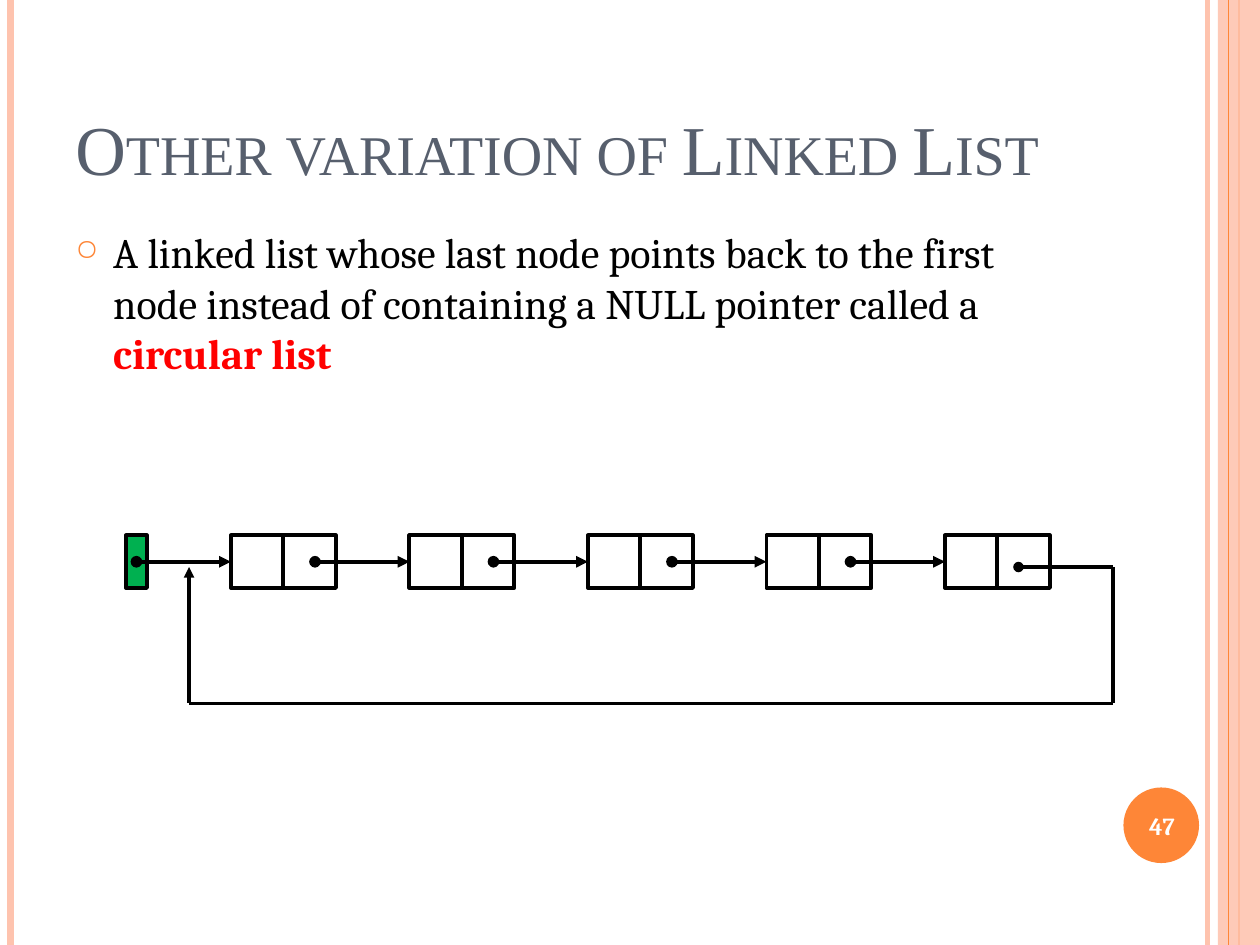
"""Build a slide that explains a circular linked list."""
from pptx import Presentation
from pptx.dml.color import RGBColor
from pptx.enum import shapes, text
from pptx.oxml import ns
from pptx.util import Pt
from lxml import etree

COLORS = {"peach": "FEC3AE", "orange": "FE8637", "slate": "575F6D", "black": "000000",
          "red": "FF0000", "green": "00B050", "white": "FFFFFF"}
ARROW, DOT = "triangle", "oval"


def add_line(x1, y1, x2, y2, color, width, head=None, tail=None):
    s = slide.shapes.add_connector(shapes.MSO_CONNECTOR.STRAIGHT, Pt(x1), Pt(y1), Pt(x2), Pt(y2))
    s.line.color.rgb = RGBColor.from_string(COLORS[color])
    s.line.width = Pt(width)
    for tag, kind in (("a:headEnd", head), ("a:tailEnd", tail)):
        if kind:
            etree.SubElement(s.line._ln, ns.qn(tag), type=kind)
    etree.SubElement(s._element.spPr, ns.qn("a:effectLst"))
    return s


def add_box(kind, x, y, w, h, fill=None, line=None):
    s = slide.shapes.add_shape(kind, Pt(x), Pt(y), Pt(w), Pt(h))
    s.shadow.inherit = False
    if fill:
        s.fill.solid()
        s.fill.fore_color.rgb = RGBColor.from_string(COLORS[fill])
    else:
        s.fill.background()
    if line:
        s.line.color.rgb = RGBColor.from_string(COLORS["black"])
        s.line.width = Pt(line)
    else:
        s.line.fill.background()
    return s


prs = Presentation()
prs.slide_width, prs.slide_height = Pt(720), Pt(540)
slide = prs.slides.add_slide(prs.slide_layouts[6])
RECT = shapes.MSO_SHAPE.RECTANGLE

for x, color, width in ((690, "peach", 3), (6, "peach", 4.5), (708, "orange", 1.5)):
    add_line(x, 0, x, 540, color, width)
band = add_box(RECT, 696, 0, 24, 540, "peach")
etree.SubElement(band.fill._xPr.find(".//" + ns.qn("a:srgbClr")), ns.qn("a:alpha"), val="87000")
add_line(702, 0, 702, 540, "orange", 0.75)
add_box(shapes.MSO_SHAPE.OVAL, 642, 450, 43.2, 43.2, "orange")

texts = (
    ((36, 21.6, 588, 90), text.MSO_ANCHOR.BOTTOM, text.PP_ALIGN.LEFT, (
        ("Other variation of Linked List", "slate", {"name": "Times New Roman", "size": Pt(40)}),)),
    ((36, 126, 588, 384), text.MSO_ANCHOR.TOP, text.PP_ALIGN.LEFT, (
        ("A linked list whose last node points back to the first node instead of "
         "containing a NULL pointer called a ", "black", {"name": "Cambria", "size": Pt(24)}),
        ("circular list", "red", {"name": "Cambria", "size": Pt(24), "bold": True}))),
    ((640, 451.4, 48, 41), text.MSO_ANCHOR.MIDDLE, text.PP_ALIGN.CENTER, (
        ("47", "white", {"name": "Cambria", "size": Pt(14), "bold": True}),)),
)
paragraphs = []
for box, anchor, align, runs in texts:
    tf = slide.shapes.add_textbox(*map(Pt, box)).text_frame
    tf.word_wrap = True
    tf.vertical_anchor = anchor
    p = tf.paragraphs[0]
    p.alignment = align
    for words, color, font in runs:
        r = p.add_run()
        r.text = words
        r.font.color.rgb = RGBColor.from_string(COLORS[color])
        for name, value in font.items():
            setattr(r.font, name, value)
    paragraphs.append(p)

title, body, number = paragraphs
title.runs[0].font._element.set("cap", "small")
pPr = body._p.get_or_add_pPr()
pPr.set("marL", str(Pt(21.6)))
pPr.set("indent", str(-Pt(21.6)))
bullet_color = etree.SubElement(pPr, ns.qn("a:buClr"))
etree.SubElement(bullet_color, ns.qn("a:srgbClr"), val=COLORS["orange"])
etree.SubElement(pPr, ns.qn("a:buSzPct"), val="70000")
etree.SubElement(pPr, ns.qn("a:buChar"), char="○")

top, side, pitch, first, mid = 306, 30, 102, 132, 321
add_box(RECT, 72, top, 12, side, "green", 2.25)
for i in range(5):
    x = first + i * pitch
    add_box(RECT, x + side, top, side, side, line=2.25)
    data = add_box(RECT, x, top, side, side, line=2.25)
    link = add_line(x - 54, mid, x, mid, "black", 2.25, DOT, ARROW)
    link.end_connect(data, 1)

left, right, upper, lower = 108, 636, 324, 402
add_line(left, lower, right, lower, "black", 2)
add_line(582, upper, right, upper, "black", 2, DOT)
add_line(right, upper, right, lower, "black", 2)
add_line(left, upper, left, lower, "black", 2, ARROW)

prs.save("out.pptx")
